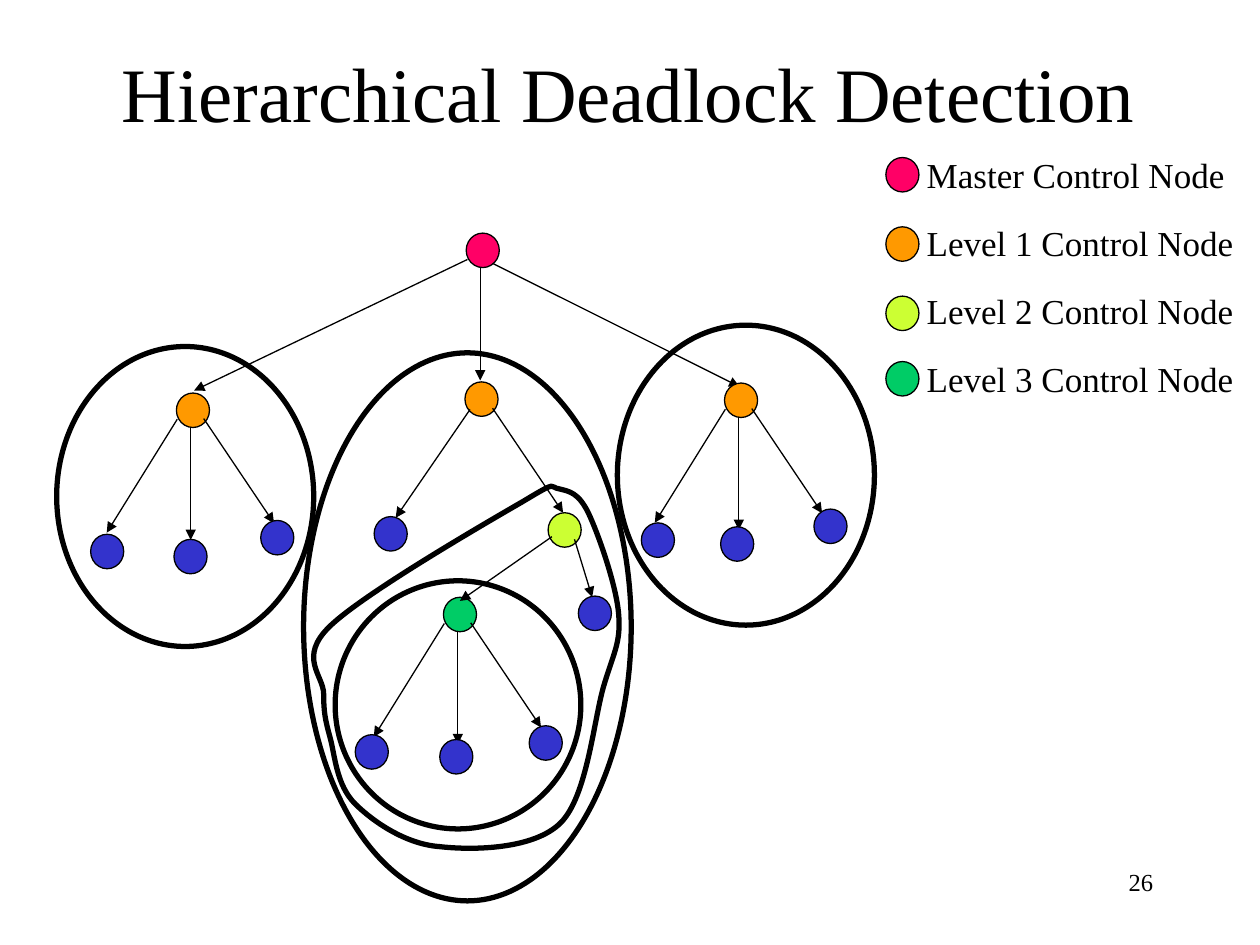
from dataclasses import dataclass

from lxml.etree import SubElement
from pptx import Presentation
from pptx.dml.color import RGBColor
from pptx.enum.shapes import MSO_CONNECTOR as Connector, MSO_SHAPE as Shape
from pptx.enum.text import MSO_ANCHOR as Anchor, PP_ALIGN as Align
from pptx.oxml.ns import qn
from pptx.util import Pt


@dataclass(frozen=True)
class Theme:
    """Colours, font, type sizes and line widths of the slide."""
    font: str = "Times New Roman"
    ink: str = "000000"
    master: str = "FF0066"
    level1: str = "FF9900"
    level2: str = "CCFF33"
    level3: str = "00CC66"
    leaf: str = "3333CC"
    title: float = 44
    label: float = 20
    number: float = 14
    thin: float = 0.75
    thick: float = 3


THEME = Theme()
NODE_SIZE = (18.9, 19.7)
FAN = [((0.5, 15), (-39.8, 79.8)), ((8.2, 19.2), (8.2, 84)), ((15.6, 14.6), (55.8, 74.4))]


def fan_from(left, top):
    """Return the three arrows below the node at left, top."""
    return [[(left + x, top + y) for x, y in ends] for ends in FAN]


CONTROL_NODES = [
    (THEME.master, (266.4, 133.2), [((267.1, 148.3), (110.9, 223.2)),
                                    ((274.4, 152.6), (274.4, 217.4)),
                                    ((281.5, 150.5), (422.6, 221))]),
    (THEME.level1, (265.7, 218.2), [((268.6, 234), (226.1, 295.9)),
                                    ((281.5, 233.3), (321.8, 293))]),
    (THEME.level1, (414, 218.9), fan_from(414, 218.9)),
    (THEME.level1, (100.8, 224.6), fan_from(100.8, 224.6)),
    (THEME.level3, (253.4, 341.3), fan_from(253.4, 341.3)),
    (THEME.level2, (313.2, 293), [((315.4, 306.7), (262.8, 343.4)),
                                  ((328.3, 308.2), (338.4, 341.3))]),
]
LEAVES = [(366.5, 298.8), (411.8, 301), (465.1, 290.9), (149, 297.4), (99.4, 308.2),
          (51.8, 305.3), (251.3, 422.6), (302.4, 414.7), (213.8, 295.2), (203, 419.8),
          (330.5, 340.6)]
REGIONS = [(352.8, 185.8, 146.9, 171.4), (32.4, 198, 146.9, 171.4),
           (173.5, 201.6, 187.2, 313.2), (191.5, 331.9, 140.4, 141.8)]
LEVEL2_START = (344.9, 392.4)
LEVEL2_CURVES = [
    ((350.6, 373), (355, 367.2), (353.5, 350.6)),
    ((352.1, 334.1), (342, 305.3), (336.2, 293)),
    ((330.5, 281.5), (325.4, 280.8), (319.7, 279.4)),
    ((313.2, 278.6), (320.4, 273.6), (298.8, 286.6)),
    ((276.5, 299.5), (208.1, 339.1), (188.6, 357.8)),
    ((169.9, 375.8), (185, 385.9), (185, 396.7)),
    ((185, 406.8), (185.8, 411.1), (188.6, 421.2)),
    ((191.5, 432), (192.2, 448.6), (203, 459.4)),
    ((213.1, 469.4), (231.8, 482.4), (251.3, 483.8)),
    ((270.7, 486), (305.3, 485.3), (320.4, 470.2)),
    ((335.5, 455), (339.1, 412.6), LEVEL2_START),
]
LEGEND = [("Master Control Node", THEME.master, 90), ("Level 1 Control Node", THEME.level1, 129.6),
          ("Level 2 Control Node", THEME.level2, 169.2), ("Level 3 Control Node", THEME.level3, 206.6)]


def write_text(frame, text, size, align=Align.LEFT, anchor=Anchor.TOP):
    """Put one formatted paragraph into a text frame."""
    frame.word_wrap = True
    frame.vertical_anchor = anchor
    paragraph = frame.paragraphs[0]
    paragraph.alignment = align
    run = paragraph.add_run()
    run.text = text
    run.font.name = THEME.font
    run.font.size = Pt(size)
    run.font.color.rgb = RGBColor.from_string(THEME.ink)


class Canvas:
    """Draws styled elements on one slide, in points."""

    def __init__(self, slide, theme):
        """Keep the slide and its theme."""
        self.slide = slide
        self.theme = theme

    def stroke(self, line, width):
        """Give a line the ink colour and a width."""
        line.color.rgb = RGBColor.from_string(self.theme.ink)
        line.width = Pt(width)

    def outline(self, shape, width, fill=None):
        """Style a closed shape, unfilled unless a fill is given."""
        shape.shadow.inherit = False
        self.stroke(shape.line, width)
        if fill:
            shape.fill.solid()
            shape.fill.fore_color.rgb = RGBColor.from_string(fill)
        else:
            shape.fill.background()

    def title(self, text, *box):
        """Fill and place the title placeholder."""
        shape = self.slide.shapes.title
        shape.left, shape.top, shape.width, shape.height = map(Pt, box)
        write_text(shape.text_frame, text, self.theme.title, Align.CENTER, Anchor.MIDDLE)

    def text(self, text, *box, **style):
        """Add a text box."""
        shape = self.slide.shapes.add_textbox(*map(Pt, box))
        write_text(shape.text_frame, text, **style)

    def ellipse(self, *box, width, fill=None):
        """Add an ellipse."""
        shape = self.slide.shapes.add_shape(Shape.OVAL, *map(Pt, box))
        self.outline(shape, width, fill)

    def node(self, fill, left, top):
        """Add a node of the standard size."""
        self.ellipse(left, top, *NODE_SIZE, width=self.theme.thin, fill=fill)

    def arrow(self, start, end):
        """Add a straight arrow."""
        connector = self.slide.shapes.add_connector(Connector.STRAIGHT, *map(Pt, (*start, *end)))
        self.stroke(connector.line, self.theme.thin)
        properties = connector.line._get_or_add_ln()
        SubElement(properties, qn("a:tailEnd"), type="triangle")
        SubElement(properties.getparent(), qn("a:effectLst"))

    def closed_curve(self, start, curves):
        """Add an unfilled outline whose segments are cubic curves."""
        builder = self.slide.shapes.build_freeform(*map(Pt, start))
        builder.add_line_segments([tuple(map(Pt, point)) for curve in curves for point in curve])
        shape = builder.convert_to_shape()
        segments = list(shape.element.iter(qn("a:lnTo")))
        outline = segments[0].getparent()
        closing = outline.find(qn("a:close"))
        for first in range(0, 3 * len(curves), 3):
            cubic = SubElement(outline, qn("a:cubicBezTo"))
            for segment in segments[first:first + 3]:
                cubic.append(segment[0])
                outline.remove(segment)
        outline.append(closing)
        self.outline(shape, self.theme.thick)


def main():
    """Build and save the slide."""
    presentation = Presentation()
    presentation.slide_width, presentation.slide_height = Pt(720), Pt(540)
    slide = presentation.slides.add_slide(presentation.slide_layouts.get_by_name("Title Only"))
    canvas = Canvas(slide, THEME)

    canvas.title("Hierarchical Deadlock Detection", 53.3, 15.1, 612, 74.2)
    for colour, position, arrows in CONTROL_NODES:
        canvas.node(colour, *position)
        for start, end in arrows:
            canvas.arrow(start, end)
    for position in LEAVES:
        canvas.node(THEME.leaf, *position)
    for region in REGIONS:
        canvas.ellipse(*region, width=THEME.thick)
    canvas.closed_curve(LEVEL2_START, LEVEL2_CURVES)

    for row, (label, colour, top) in enumerate(LEGEND):
        canvas.node(colour, 506.2, top)
        canvas.text(label, 522.5, 84.2 + 38.8 * row, 194, 31.7, size=THEME.label)
    canvas.text("26", 516.2, 491.8, 149.8, 36, size=THEME.number, align=Align.RIGHT)

    presentation.save("out.pptx")


if __name__ == "__main__":
    main()
